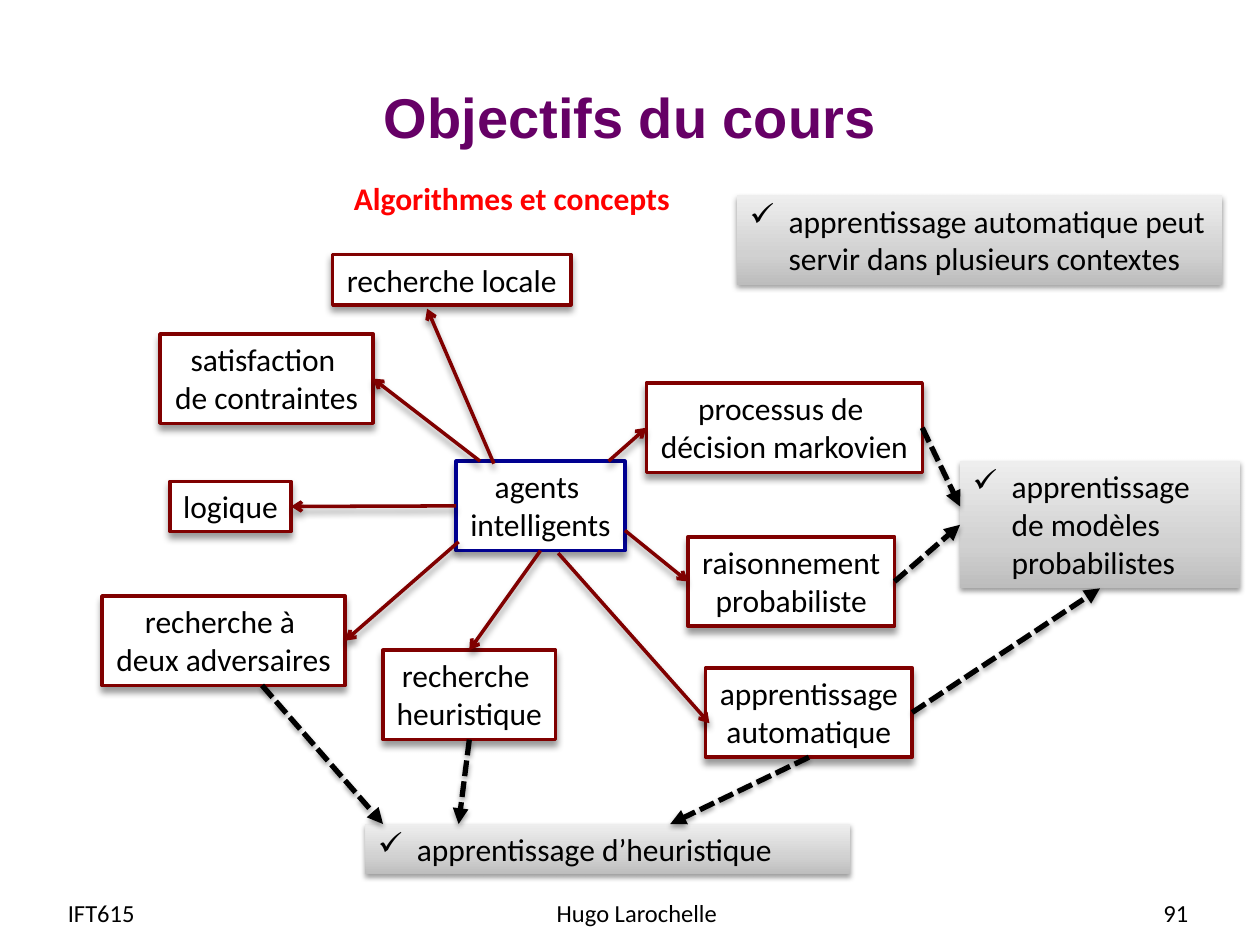
import pptx
import pptx.util
import pptx.dml.color
import pptx.enum.dml
import pptx.enum.shapes
import pptx.enum.text
import pptx.oxml
import pptx.oxml.ns

Inches = pptx.util.Inches
Pt = pptx.util.Pt
RGBColor = pptx.dml.color.RGBColor
PP_ALIGN = pptx.enum.text.PP_ALIGN
MSO_ANCHOR = pptx.enum.text.MSO_ANCHOR
MSO_AUTO_SIZE = pptx.enum.text.MSO_AUTO_SIZE
qn = pptx.oxml.ns.qn

BLACK = RGBColor(0x00, 0x00, 0x00)
WHITE = RGBColor(0xFF, 0xFF, 0xFF)
RED = RGBColor(0xFF, 0x00, 0x00)
PURPLE = RGBColor(0x66, 0x00, 0x66)
NAVY = RGBColor(0x00, 0x00, 0x90)
MAROON = RGBColor(0x80, 0x00, 0x00)
GRADIENT = ((0, "BDBDBD"), (35, "D1D1D1"), (100, "EEEEEE"))
BOX_SHADOW = (40, 4, 3)
NOTE_SHADOW = (38, 3.1, 1.6)
TOP, LEFT, BOTTOM, RIGHT = range(4)


def element(xml):
    head, tail = xml.split(" ", 1)
    return pptx.oxml.parse_xml(f"{head} {pptx.oxml.ns.nsdecls('a')} {tail}")


class Deck:
    font = "Calibri"
    size = 18

    def __init__(self):
        self.prs = pptx.Presentation()
        self.prs.slide_width = Inches(10)
        self.prs.slide_height = Inches(7.5)
        self.s = self.prs.slides.add_slide(self.prs.slide_layouts[5])

    def set_text(self, tf, text, align, size=size, color=BLACK, bold=False, font=font):
        tf.text = text
        for p in tf.paragraphs:
            p.alignment = align
            for r in p.runs:
                r.font.name = font
                r.font.size = Pt(size)
                r.font.bold = bold
                r.font.color.rgb = color

    def shadow(self, sp, style):
        alpha, blur, dist = style
        spPr = sp._element.spPr
        effects = spPr.find(qn("a:effectLst"))
        if effects is None:
            effects = element("<a:effectLst />")
            spPr.append(effects)
        effects.append(element(
            f'<a:outerShdw blurRad="{Pt(blur)}" dist="{Pt(dist)}" dir="5400000" rotWithShape="0">'
            f'<a:srgbClr val="000000"><a:alpha val="{alpha * 1000}"/></a:srgbClr></a:outerShdw>'))

    def title(self, text, x, y, w, h):
        sp = self.s.shapes.title
        sp.left, sp.top, sp.width, sp.height = map(Inches, (x, y, w, h))
        tf = sp.text_frame
        tf.vertical_anchor = MSO_ANCHOR.MIDDLE
        self.set_text(tf, text, PP_ALIGN.CENTER, 32, PURPLE, True, "Arial")

    def label(self, text, x, y, w, h, align=PP_ALIGN.LEFT, anchor=MSO_ANCHOR.TOP, **style):
        sp = self.s.shapes.add_textbox(*map(Inches, (x, y, w, h)))
        tf = sp.text_frame
        tf.word_wrap = True
        tf.vertical_anchor = anchor
        self.set_text(tf, text, align, **style)

    def rectangle(self, text, x, y, w, h, align, wrap):
        sp = self.s.shapes.add_shape(
            pptx.enum.shapes.MSO_SHAPE.RECTANGLE, *map(Inches, (x, y, w, h)))
        sp.shadow.inherit = False
        tf = sp.text_frame
        tf.word_wrap = wrap
        tf.auto_size = MSO_AUTO_SIZE.SHAPE_TO_FIT_TEXT
        tf.vertical_anchor = MSO_ANCHOR.TOP
        self.set_text(tf, text, align)
        return sp

    def box(self, text, x, y, w, h=0.71, color=MAROON):
        sp = self.rectangle(text, x, y, w, h, PP_ALIGN.CENTER, False)
        sp.fill.solid()
        sp.fill.fore_color.rgb = WHITE
        sp.line.color.rgb = color
        sp.line.width = Pt(2)
        self.shadow(sp, BOX_SHADOW)
        return sp

    def note(self, text, x, y, w, h):
        sp = self.rectangle(text, x, y, w, h, PP_ALIGN.LEFT, True)
        sp.line.fill.background()
        sp.fill.background()
        stops = "".join(f'<a:gs pos="{pos * 1000}"><a:srgbClr val="{color}"/></a:gs>'
                        for pos, color in GRADIENT)
        spPr = sp._element.spPr
        spPr.replace(spPr.find(qn("a:noFill")), element(
            f'<a:gradFill rotWithShape="1"><a:gsLst>{stops}</a:gsLst>'
            '<a:lin ang="16200000" scaled="0"/></a:gradFill>'))
        pPr = sp.text_frame.paragraphs[0]._p.get_or_add_pPr()
        pPr.set("marL", str(Inches(0.31)))
        pPr.set("indent", str(-Inches(0.31)))
        pPr.append(element('<a:buChar char="✓"/>'))
        self.shadow(sp, NOTE_SHADOW)
        return sp

    def arrow(self, start, end, dashed=False):
        joined = [hasattr(e[0], "text_frame") for e in (start, end)]
        points = [(0, 0) if j else e for j, e in zip(joined, (start, end))]
        cn = self.s.shapes.add_connector(
            pptx.enum.shapes.MSO_CONNECTOR.STRAIGHT,
            *(Inches(v) for point in points for v in point))
        if joined[0]:
            cn.begin_connect(*start)
        if joined[1]:
            cn.end_connect(*end)
        cn.line.color.rgb = BLACK if dashed else MAROON
        cn.line.width = Pt(3 if dashed else 2)
        if dashed:
            cn.line.dash_style = pptx.enum.dml.MSO_LINE.SQUARE_DOT
        head = "triangle" if dashed else "arrow"
        cn._element.spPr.find(qn("a:ln")).append(element(f'<a:tailEnd type="{head}"/>'))
        self.shadow(cn, NOTE_SHADOW if dashed else BOX_SHADOW)


def main():
    d = Deck()
    d.title("Objectifs du cours", 0.5, 0.3, 9, 1.25)
    for text, x, w, align in (("IFT615", 0.44, 1.93, PP_ALIGN.LEFT),
                              ("Hugo Larochelle", 3.47, 3.17, PP_ALIGN.CENTER),
                              ("91", 7.2, 2.33, PP_ALIGN.RIGHT)):
        d.label(text, x, 7.04, w, 0.4, align, MSO_ANCHOR.MIDDLE, size=14)
    d.label("Algorithmes et concepts", 2.71, 1.37, 3.59, 0.51, color=RED, bold=True)

    agents = d.box("agents \nintelligents", 3.62, 3.66, 1.34, color=NAVY)
    heuristic = d.box("recherche \nheuristique", 3.04, 5.16, 1.37)
    d.box("recherche locale", 2.64, 2.02, 1.89, 0.4)
    adversaries = d.box("recherche à \ndeux adversaires", 0.81, 4.73, 1.93)
    constraints = d.box("satisfaction \nde contraintes", 1.27, 2.65, 1.69)
    logic = d.box("logique", 1.35, 3.82, 0.96, 0.4)
    reasoning = d.box("raisonnement \nprobabiliste", 5.46, 4.26, 1.64)
    markov = d.box("processus de \ndécision markovien", 5.13, 3.04, 2.19)
    learning = d.box("apprentissage \nautomatique", 5.6, 5.3, 1.64)

    d.note("apprentissage automatique peut servir dans plusieurs contextes", 5.85, 1.55, 3.85, 0.71)
    d.note("apprentissage d’heuristique", 2.9, 6.54, 3.85, 0.4)
    models = d.note("apprentissage de modèles probabilistes", 7.62, 3.66, 2.22, 1.01)

    for start, end in (((3.81, 3.66), (constraints, RIGHT)),
                       ((3.64, 4.3), (adversaries, RIGHT)),
                       ((3.92, 3.68), (3.39, 2.45)),
                       ((agents, BOTTOM), (heuristic, TOP)),
                       ((agents, LEFT), (logic, RIGHT)),
                       ((4.96, 4.21), (reasoning, LEFT)),
                       ((4.83, 3.66), (markov, LEFT)),
                       ((4.43, 4.39), (5.63, 5.74))):
        d.arrow(start, end)

    for start, end in (((2.08, 5.44), (3.04, 6.54)),
                       ((heuristic, BOTTOM), (3.64, 6.54)),
                       ((learning, BOTTOM), (5.32, 6.54)),
                       ((markov, RIGHT), (7.62, 4.02)),
                       ((reasoning, RIGHT), (models, LEFT)),
                       ((learning, RIGHT), (models, BOTTOM))):
        d.arrow(start, end, dashed=True)

    d.prs.save("out.pptx")


if __name__ == "__main__":
    main()
